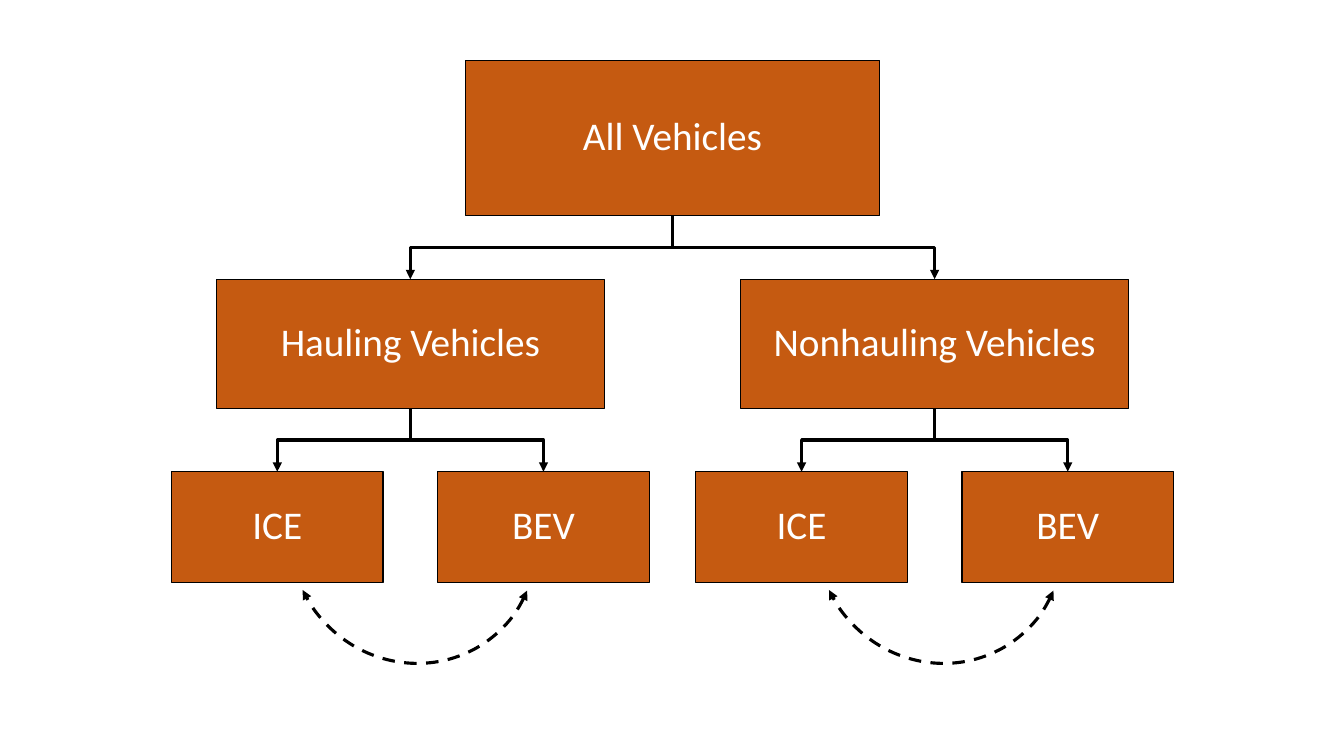
from dataclasses import dataclass
from lxml.etree import SubElement
from pptx import Presentation
from pptx.dml.color import RGBColor
from pptx.enum.dml import MSO_LINE
from pptx.enum.shapes import MSO_SHAPE
from pptx.enum.text import MSO_ANCHOR, PP_ALIGN
from pptx.oxml.ns import qn
from pptx.util import Inches, Pt


@dataclass(frozen=True)
class Theme:
    font: str = "Calibri"
    size: int = 28
    fill: str = "C55A11"
    ink: str = "000000"
    text: str = "FFFFFF"
    edge: float = 1
    link: float = 2.25


def write(frame, text, font, size, color, inset=0.02, spacing=0.9):
    frame.word_wrap = True
    frame.vertical_anchor = MSO_ANCHOR.MIDDLE
    frame.margin_left = frame.margin_right = Inches(inset)
    frame.margin_top = frame.margin_bottom = Inches(inset)
    para = frame.paragraphs[0]
    para.alignment = PP_ALIGN.CENTER
    para.line_spacing = spacing
    run = para.add_run()
    run.text = text
    run.font.name = font
    run.font.size = Pt(size)
    run.font.color.rgb = RGBColor.from_string(color)


class Chart:
    def __init__(self, slide, theme):
        self.shapes = slide.shapes
        self.theme = theme

    def stroke(self, shape, width, ends=(), dash=None):
        shape.shadow.inherit = False
        line = shape.line
        line.color.rgb = RGBColor.from_string(self.theme.ink)
        line.width = Pt(width)
        if dash:
            line.dash_style = dash
        for end in ends:
            SubElement(line._get_or_add_ln(), qn(f"a:{end}"), type="triangle")

    def box(self, text, mid, top, width, height):
        theme = self.theme
        shape = self.shapes.add_shape(
            MSO_SHAPE.RECTANGLE, Inches(mid - width / 2), Inches(top),
            Inches(width), Inches(height))
        shape.fill.solid()
        shape.fill.fore_color.rgb = RGBColor.from_string(theme.fill)
        self.stroke(shape, theme.edge)
        write(shape.text_frame, text, font=theme.font, size=theme.size,
              color=theme.text)

    def elbow(self, start, end, top, bottom):
        bend = (top + bottom) / 2
        path = self.shapes.build_freeform(Inches(start), Inches(top))
        points = [(start, bend), (end, bend), (end, bottom)]
        path.add_line_segments(
            [(Inches(x), Inches(y)) for x, y in points], close=False)
        shape = path.convert_to_shape()
        shape.fill.background()
        self.stroke(shape, self.theme.link, ["tailEnd"])

    def swap(self, left, top, width, height):
        arc = self.shapes.add_shape(
            MSO_SHAPE.ARC, Inches(left), Inches(top),
            Inches(width), Inches(height))
        arc.adjustments[0] = 148.01
        arc.adjustments[1] = 11.16
        arc.rotation = 137.2
        arc.fill.background()
        self.stroke(arc, self.theme.link, ["headEnd", "tailEnd"],
                    MSO_LINE.DASH)


def main():
    deck = Presentation()
    deck.slide_width = Inches(13.33)
    deck.slide_height = Inches(7.5)
    chart = Chart(deck.slides.add_slide(deck.slide_layouts[6]), Theme())

    root = 6.67
    groups = [("Hauling Vehicles", 4.07, 2.9),
              ("Nonhauling Vehicles", 9.27, 8.12)]
    leaves = [("ICE", -1.32), ("BEV", 1.32)]

    for name, mid, left in groups:
        chart.elbow(root, mid, 2.14, 2.77)
        for leaf, shift in leaves:
            chart.elbow(mid, mid + shift, 4.05, 4.68)

    chart.box("All Vehicles", root, 0.6, 4.11, 1.54)
    for name, mid, left in groups:
        chart.box(name, mid, 2.77, 3.85, 1.28)
        for leaf, shift in leaves:
            chart.box(leaf, mid + shift, 4.68, 2.1, 1.1)
        chart.swap(left, 4.12, 2.4, 2.48)

    deck.save("out.pptx")


if __name__ == "__main__":
    main()
